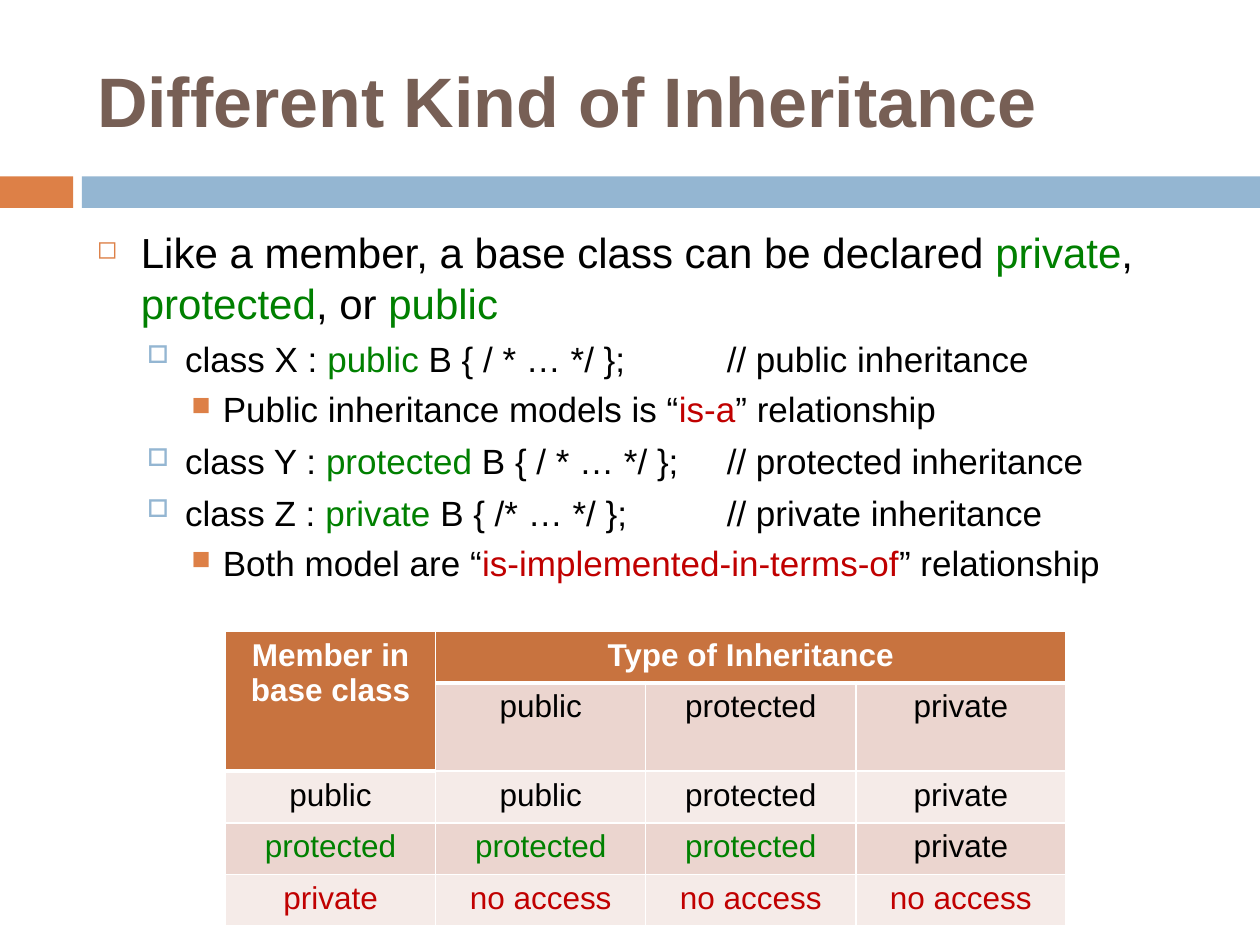
from typing import NamedTuple

import pptx
import pptx.dml.color
import pptx.enum.shapes
import pptx.enum.text
import pptx.oxml
import pptx.oxml.ns
import pptx.util

Inches, Pt = pptx.util.Inches, pptx.util.Pt
RGBColor = pptx.dml.color.RGBColor
PP_ALIGN = pptx.enum.text.PP_ALIGN
ANCHOR = pptx.enum.text.MSO_ANCHOR

ORANGE = RGBColor(0xDD, 0x80, 0x47)
BLUE = RGBColor(0x94, 0xB6, 0xD2)
BROWN = RGBColor(0x77, 0x5F, 0x55)
BLACK = RGBColor(0, 0, 0)
WHITE = RGBColor(0xFF, 0xFF, 0xFF)
GREEN = RGBColor(0, 0x80, 0)
RED = RGBColor(0xC0, 0, 0)
HEAD = RGBColor(0xC8, 0x73, 0x3F)
BANDS = RGBColor(0xF5, 0xEB, 0xE8), RGBColor(0xEB, 0xD5, 0xCF)
FONT = "Arial"


class Level(NamedTuple):
    """Look of one outline level."""
    size: float
    left: float
    hang: float
    before: float
    bullet: str
    color: RGBColor
    scale: int


class Span(NamedTuple):
    """A piece of text in one colour."""
    text: str
    color: RGBColor = BLACK


class Item(NamedTuple):
    """One outline paragraph."""
    level: int
    spans: list[Span]


LEVELS = [
    Level(24, 0.35, 0.35, 7, "\u25fb", ORANGE, 60),
    Level(20, 0.7, 0.3, 5.5, "\u25a1", BLUE, 70),
    Level(20, 1, 0.25, 5, "\u25a0", ORANGE, 75),
]


def class_line(name: str, access: str, comment: str) -> Item:
    """Return the code line that derives a class from B."""
    return Item(1, [Span(f"class {name} : "), Span(access, GREEN),
                    Span(f" B {{ {comment} }};\t// {access} inheritance")])


def model_line(start: str, relation: str) -> Item:
    """Return the line that names a relationship."""
    return Item(2, [Span(f"{start} \u201c"), Span(relation, RED),
                    Span("\u201d relationship")])


ITEMS = [
    Item(0, [Span("Like a member, a base class can be declared "),
             Span("private", GREEN), Span(","), Span(" protected", GREEN),
             Span(", or"), Span(" public", GREEN)]),
    class_line("X", "public", "/ * \u2026 */"),
    model_line("Public inheritance models is", "is-a"),
    class_line("Y", "protected", "/ * \u2026 */"),
    class_line("Z", "private", "/* \u2026 */"),
    model_line("Both model are", "is-implemented-in-terms-of"),
]

TABLE = [
    [Span("Member in base class", WHITE), Span("Type of Inheritance", WHITE), None, None],
    [None, Span("public"), Span("protected"), Span("private")],
    [Span("public"), Span("public"), Span("protected"), Span("private")],
    [Span("protected", GREEN)] * 3 + [Span("private")],
    [Span("private", RED)] + [Span("no access", RED)] * 3,
]


def add_run(p, span: Span, size: float, bold: bool = False) -> None:
    """Add one formatted run to a paragraph."""
    r = p.add_run()
    r.text = span.text
    r.font.name, r.font.size, r.font.bold = FONT, Pt(size), bold
    r.font.color.rgb = span.color


def add_bar(s, left: float, width: float, color: RGBColor) -> None:
    """Draw one part of the bar below the title."""
    bar = s.shapes.add_shape(pptx.enum.shapes.MSO_SHAPE.RECTANGLE, Inches(left),
                             Inches(1.4), Inches(width), Inches(0.25))
    bar.shadow.inherit = False
    bar.fill.solid()
    bar.fill.fore_color.rgb = color
    bar.line.fill.background()


def append_xml(parent, xml: str) -> None:
    """Append a DrawingML element to a parent."""
    ns = pptx.oxml.ns.nsdecls("a")
    parent.append(pptx.oxml.parse_xml(xml.replace(">", f" {ns}>", 1)))


def set_level(p, level: Level) -> None:
    """Set indents, spacing, bullet and tab stop of a paragraph."""
    p.space_before = Pt(level.before)
    pPr = p._p.get_or_add_pPr()
    pPr.set("marL", str(Inches(level.left)))
    pPr.set("indent", str(-Inches(level.hang)))
    append_xml(pPr, f'<a:buClr><a:srgbClr val="{level.color}"/></a:buClr>')
    append_xml(pPr, f'<a:buSzPct val="{level.scale * 1000}"></a:buSzPct>')
    append_xml(pPr, f'<a:buChar char="{level.bullet}"></a:buChar>')
    append_xml(pPr, f'<a:tabLst><a:tab pos="{Inches(5)}" algn="l"/></a:tabLst>')


def add_outline(s) -> None:
    """Add the bulleted text."""
    box = s.shapes.add_textbox(Inches(0.67), Inches(1.75), Inches(8.92), Inches(4.95))
    tf = box.text_frame
    tf.word_wrap = True
    for i, item in enumerate(ITEMS):
        p = tf.paragraphs[0] if i == 0 else tf.add_paragraph()
        level = LEVELS[item.level]
        set_level(p, level)
        for span in item.spans:
            add_run(p, span, level.size)


def set_borders(cell, bottom: float) -> None:
    """Give a cell white borders, with its own bottom width."""
    tcPr = cell._tc.get_or_add_tcPr()
    fill = tcPr[0]
    for side, width in (("L", 1), ("R", 1), ("T", 1), ("B", bottom)):
        append_xml(tcPr, f'<a:ln{side} w="{Pt(width)}"><a:solidFill>'
                         f'<a:srgbClr val="{WHITE}"/></a:solidFill></a:ln{side}>')
    tcPr.append(fill)


def add_access_table(s) -> None:
    """Add the table of member access by inheritance type."""
    table = s.shapes.add_table(5, 4, Inches(1.79), Inches(5.01),
                               Inches(6.67), Inches(2.03)).table
    for row in table.rows:
        row.height = Inches(0.41)
    table.cell(0, 0).merge(table.cell(1, 0))
    table.cell(0, 1).merge(table.cell(0, 3))
    for i, row in enumerate(TABLE):
        for j, span in enumerate(row):
            cell = table.cell(i, j)
            head = i == 0 or span is None
            cell.fill.solid()
            cell.fill.fore_color.rgb = HEAD if head else BANDS[i % 2]
            set_borders(cell, 3 if head else 1)
            if span:
                p = cell.text_frame.paragraphs[0]
                p.alignment = PP_ALIGN.CENTER
                add_run(p, span, 18, head)


def add_title(s) -> None:
    """Place and fill the title."""
    title = s.shapes.title
    title.left, title.top = Inches(0.67), Inches(0.25)
    title.width, title.height = Inches(8.92), Inches(1.08)
    tf = title.text_frame
    tf.vertical_anchor = ANCHOR.MIDDLE
    p = tf.paragraphs[0]
    p.alignment = PP_ALIGN.LEFT
    add_run(p, Span("Different Kind of Inheritance", BROWN), 40, True)


prs = pptx.Presentation()
prs.slide_width, prs.slide_height = Inches(10), Inches(7.5)
s = prs.slides.add_slide(prs.slide_layouts[5])
add_bar(s, 0, 0.58, ORANGE)
add_bar(s, 0.65, 9.35, BLUE)
add_title(s)
add_outline(s)
add_access_table(s)
prs.save("out.pptx")
